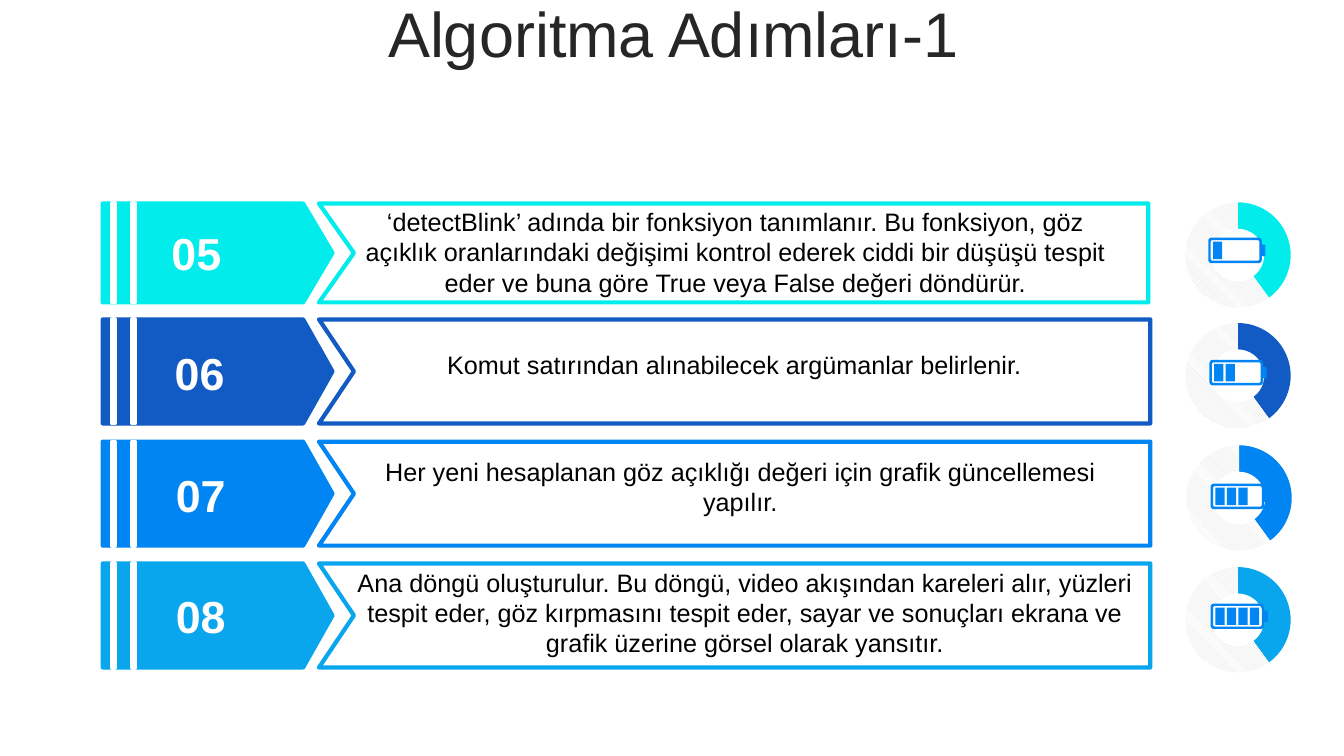
"""Build the slide of algorithm steps 05 to 08."""
from dataclasses import dataclass
from math import cos, pi, sin

from lxml.etree import SubElement
from pptx import Presentation
from pptx.chart.data import CategoryChartData
from pptx.dml.color import RGBColor
from pptx.enum.chart import XL_CHART_TYPE as Chart
from pptx.enum.dml import MSO_PATTERN as Pattern
from pptx.enum.shapes import MSO_SHAPE as Preset
from pptx.enum.text import MSO_ANCHOR as Anchor, MSO_AUTO_SIZE as Fit, PP_ALIGN as Align
from pptx.oxml.ns import qn
from pptx.util import Cm, Pt


@dataclass(frozen=True)
class Theme:
    font: str = "Arial"
    title_size: int = 45
    number_size: int = 32
    body_size: int = 18
    outline: int = 3
    title: str = "262626"
    ink: str = "000000"
    paper: str = "FFFFFF"
    hatch: str = "D8D8D8"
    battery: str = "0085F2"


@dataclass(frozen=True)
class Step:
    number: str
    color: str
    top: float
    height: float
    frame_width: float
    number_at: tuple
    ring_top: float
    ring_plot: tuple
    battery_at: tuple
    body_box: tuple
    body: str


STEPS = (
    Step("05", "02ECEC", 5.13, 2.49, 20.9, (3.45, 5.66), 4.98, (0, 0.04),
         (30.45, 5.99), (8.66, 5.08, 19.74, 2.57),
         "‘detectBlink’ adında bir fonksiyon tanımlanır. Bu fonksiyon, göz açıklık "
         "oranlarındaki değişimi kontrol ederek ciddi bir düşüşü tespit eder ve buna "
         "göre True veya False değeri döndürür."),
    Step("06", "125AC4", 8.05, 2.62, 20.95, (3.53, 8.69), 8.05, (0, 0.03),
         (30.48, 9.07), (8.56, 8.69, 19.89, 1.02),
         "Komut satırından alınabilecek argümanlar belirlenir."),
    Step("07", "0085F2", 11.13, 2.62, 20.95, (3.56, 11.76), 11.13, (0.01, 0.03),
         (30.51, 12.19), (8.71, 11.38, 19.89, 1.8),
         "Her yeni hesaplanan göz açıklığı değeri için grafik güncellemesi yapılır."),
    Step("08", "0AA6ED", 14.2, 2.62, 20.95, (3.56, 14.81), 14.2, (0, 0.03),
         (30.51, 15.21), (8.38, 14.17, 20.78, 2.57),
         "Ana döngü oluşturulur. Bu döngü, video akışından kareleri alır, yüzleri "
         "tespit eder, göz kırpmasını tespit eder, sayar ve sonuçları ekrana ve "
         "grafik üzerine görsel olarak yansıtır."),
)


def assign(target, formats):
    for name, value in formats.items():
        setattr(target, name, value)


def rounded(left, top, width, height, radius):
    centers = ((left + width - radius, top + height - radius),
               (left + radius, top + height - radius),
               (left + radius, top + radius),
               (left + width - radius, top + radius))
    return [(x + radius * cos((corner + turn / 4) * pi / 2),
             y + radius * sin((corner + turn / 4) * pi / 2))
            for corner, (x, y) in enumerate(centers) for turn in range(5)]


class StepSlide:
    def __init__(self, deck, theme):
        self.theme = theme
        self.slide = deck.slides.add_slide(deck.slide_layouts[5])

    def paint(self, shape, fill, line=None):
        shape.shadow.inherit = False
        shape.fill.solid()
        shape.fill.fore_color.rgb = RGBColor.from_string(fill)
        if line:
            shape.line.color.rgb = RGBColor.from_string(line)
            shape.line.width = Pt(self.theme.outline)
        else:
            shape.line.fill.background()

    def typeset(self, holder, box, words, size, color, frame=None, paragraph=None, bold=False):
        assign(holder, dict(zip(("left", "top", "width", "height"), map(Cm, box))))
        text = holder.text_frame
        text.text = words
        assign(text, {"word_wrap": True, "auto_size": Fit.NONE, **(frame or {})})
        line = text.paragraphs[0]
        assign(line, {"alignment": Align.CENTER, **(paragraph or {})})
        font = line.runs[0].font
        assign(font, {"name": self.theme.font, "size": Pt(size), "bold": bold})
        font.color.rgb = RGBColor.from_string(color)

    def title(self, words):
        self.typeset(self.slide.shapes.title, (0.89, -0.08, 32.16, 2.01), words,
                     self.theme.title_size, self.theme.title,
                     {"vertical_anchor": Anchor.MIDDLE},
                     {"line_spacing": 0.9, "space_before": Pt(10)})

    def text(self, box, *style, **formats):
        holder = self.slide.shapes.add_textbox(*map(Cm, box))
        self.typeset(holder, box, *style, **formats)

    def outline(self, shapes, contours, fill, line=None):
        builder = None
        for contour in contours:
            points = [(Cm(x), Cm(y)) for x, y in contour]
            if builder is None:
                builder = shapes.build_freeform(*points[0], scale=1.0)
            else:
                builder.move_to(*points[0])
            builder.add_line_segments(points[1:], close=True)
        self.paint(builder.convert_to_shape(), fill, line)

    def banner(self, step):
        shapes = self.slide.shapes.add_group_shape().shapes
        left, right = 8.04, 8.04 + step.frame_width
        bottom = step.top + step.height
        self.outline(shapes, [[(left, step.top), (right, step.top), (right, bottom),
                               (left, bottom), (left + 0.88, step.top + step.height / 2)]],
                     self.theme.paper, step.color)
        arrow = shapes.add_shape(Preset.PENTAGON, Cm(2.59), Cm(step.top),
                                 Cm(5.79), Cm(step.height))
        arrow.adjustments[0] = 0.74 / step.height
        self.paint(arrow, step.color, step.color)
        for stripe_left in (2.82, 3.33):
            stripe = shapes.add_shape(Preset.RECTANGLE, Cm(stripe_left), Cm(step.top),
                                      Cm(0.08), Cm(step.height))
            self.paint(stripe, self.theme.paper, self.theme.paper)

    def ring(self, step):
        progress = CategoryChartData()
        progress.categories = ["1", "2"]
        progress.add_series("Series 1", (40, 60))
        chart = self.slide.shapes.add_chart(Chart.DOUGHNUT, Cm(29.87), Cm(step.ring_top),
                                            Cm(2.74), Cm(2.84), progress).chart
        assign(chart, {"has_title": False, "has_legend": False})
        assign(chart.font, {"name": self.theme.font, "size": Pt(self.theme.body_size)})
        chart.font.color.rgb = RGBColor.from_string(self.theme.ink)
        plot = chart.plots[0]
        assign(plot, {"has_data_labels": False, "vary_by_categories": True})
        done, rest = (plot.series[0].points[i].format for i in range(2))
        done.fill.solid()
        done.fill.fore_color.rgb = RGBColor.from_string(step.color)
        rest.fill.patterned()
        rest.fill.pattern = Pattern.LIGHT_DOWNWARD_DIAGONAL
        rest.fill.fore_color.rgb = RGBColor.from_string(self.theme.hatch)
        rest.fill.back_color.rgb = RGBColor.from_string(self.theme.paper)
        for part in (done, rest):
            part.line.fill.background()
        area = chart.element.find(".//" + qn("c:plotArea")) if hasattr(chart, "element") \
            else chart._chartSpace.find(".//" + qn("c:plotArea"))
        area.find(".//" + qn("c:holeSize")).set("val", "75")
        for layout in area.findall(qn("c:layout")):
            area.remove(layout)
        layout = SubElement(area, qn("c:layout"))
        area.insert(0, layout)
        manual = SubElement(layout, qn("c:manualLayout"))
        x, y = step.ring_plot
        for tag, value in (("layoutTarget", "outer"), ("xMode", "edge"), ("yMode", "edge"),
                           ("x", x), ("y", y), ("w", 0.97), ("h", 0.94)):
            SubElement(manual, qn("c:" + tag)).set("val", str(value))

    def battery(self, step, level):
        x, y = step.battery_at
        case = rounded(x, y, 1.35, 0.64, 0.08)
        hollow = rounded(x + 0.06, y + 0.06, 1.23, 0.52, 0.05)[::-1]
        terminal = rounded(x + 1.35, y + 0.17, 0.09, 0.3, 0.04)
        cells = [rounded(x + 0.12 + 0.29 * i, y + 0.1, 0.23, 0.44, 0) for i in range(level)]
        self.outline(self.slide.shapes, [case, hollow, terminal, *cells], self.theme.battery)

    def step(self, step, level):
        self.banner(step)
        self.text((*step.number_at, 3, 1.42), step.number, self.theme.number_size,
                  self.theme.paper, bold=True,
                  frame={"vertical_anchor": Anchor.MIDDLE, "margin_top": 0, "margin_bottom": 0})
        self.ring(step)
        self.battery(step, level)
        self.text(step.body_box, step.body, self.theme.body_size, self.theme.ink,
                  frame={"auto_size": Fit.SHAPE_TO_FIT_TEXT})


def main():
    deck = Presentation()
    assign(deck, {"slide_width": Cm(33.87), "slide_height": Cm(19.05)})
    page = StepSlide(deck, Theme())
    page.title("Algoritma Adımları-1")
    for level, step in enumerate(STEPS, 1):
        page.step(step, level)
    deck.save("out.pptx")


if __name__ == "__main__":
    main()
